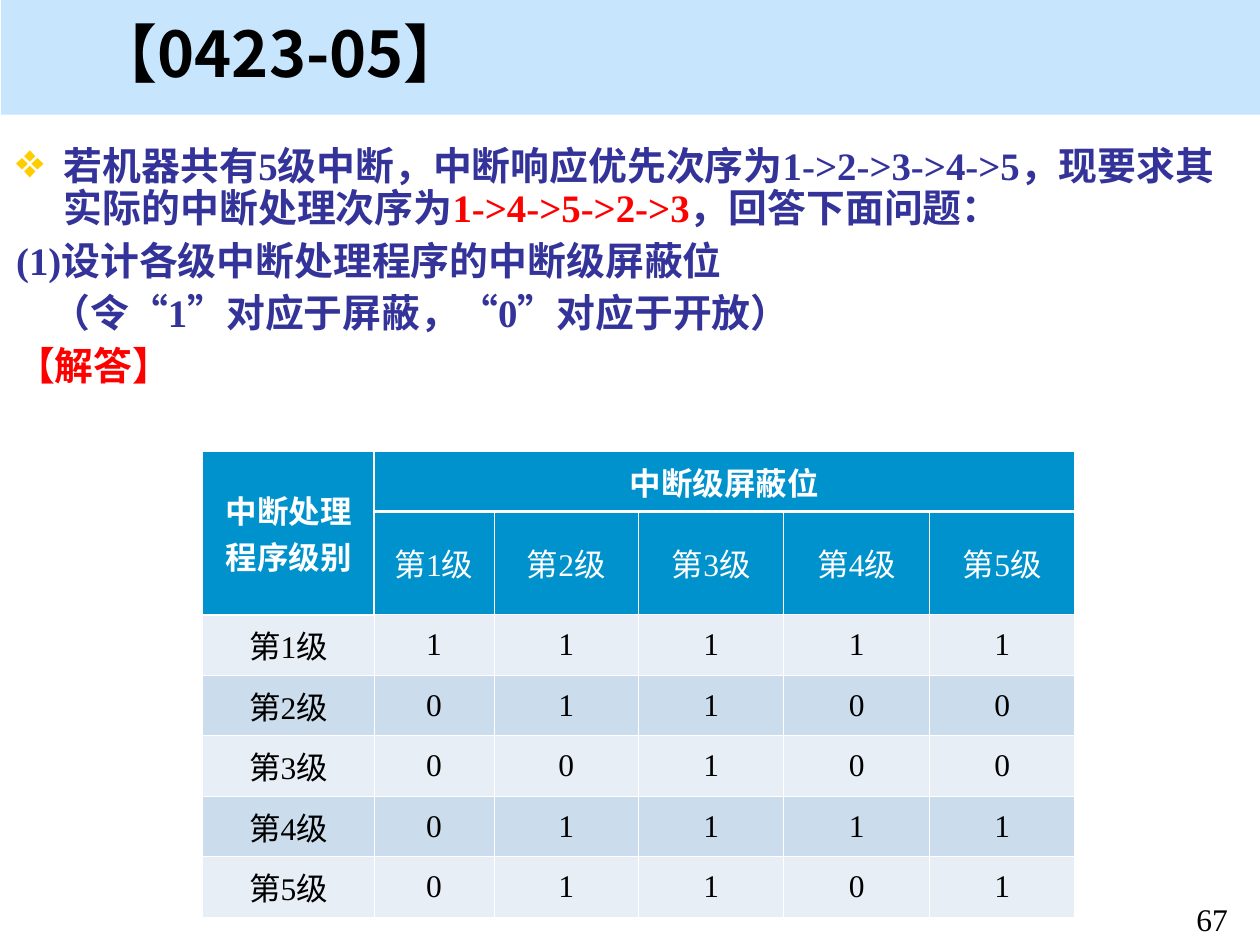
from lxml.etree import SubElement
from pptx import Presentation
from pptx.dml.color import RGBColor
from pptx.enum.shapes import MSO_SHAPE
from pptx.enum.text import MSO_ANCHOR, PP_ALIGN
from pptx.oxml.ns import qn
from pptx.util import Emu, Inches, Pt

BLACK = RGBColor(0x00, 0x00, 0x00)
WHITE = RGBColor(0xFF, 0xFF, 0xFF)
RED = RGBColor(0xFF, 0x00, 0x00)
NAVY = RGBColor(0x33, 0x33, 0x99)
GOLD = RGBColor(0xFF, 0xCC, 0x00)
SKY = RGBColor(0xC7, 0xE6, 0xFD)
BLUE = RGBColor(0x00, 0x92, 0xCC)
BANDS = [RGBColor(0xE7, 0xEE, 0xF6), RGBColor(0xCB, 0xDC, 0xEC)]

SERIF, CJK = "Times New Roman", "Noto Sans CJK SC"
COLS, ROWS = 100, 75
UNIT = Inches(10) // COLS
THIN, THICK = Pt(0.45), Pt(1.47)

BODY = [
    ([("若机器共有5级中断，中断响应优先次序为1->2->3->4->5，现要求其实际的中断处理次序为", NAVY),
      ("1->4->5->2->3", RED), ("，回答下面问题：", NAVY)], 3.8, -3.8, "❖"),
    ([("(1)设计各级中断处理程序的中断级屏蔽位", NAVY)], 3.8, -3.8, None),
    ([("（令“1”对应于屏蔽，“0”对应于开放）", NAVY)], 2.8, 0, None),
    ([("【解答】", RED)], 3.8, -3.8, None),
]
LEVELS = [f"第{n}级" for n in range(1, 6)]
MASKS = ["11111", "01100", "00100", "01111", "01101"]
COL_WIDTHS = [13.6, 9.5, 11.5, 11.5, 11.6, 11.5]
ROW_HEIGHTS = [4.8, 8.2] + [4.8] * 5


def grid(*cells):
    return [Emu(int(c * UNIT)) for c in cells]


def add_run(p, text, color, **fmt):
    r = p.add_run()
    r.text = text
    for key, value in fmt.items():
        setattr(r.font, key, value)
    r.font.color.rgb = color
    SubElement(r._r.get_or_add_rPr(), qn("a:ea")).set("typeface", CJK)


def add_bullet(p, char):
    pPr = p._p.get_or_add_pPr()
    if char is None:
        SubElement(pPr, qn("a:buNone"))
        return
    clr = SubElement(pPr, qn("a:buClr"))
    SubElement(clr, qn("a:srgbClr")).set("val", str(GOLD))
    SubElement(pPr, qn("a:buSzPct")).set("val", "125000")
    SubElement(pPr, qn("a:buChar")).set("char", char)


def add_header(s, box):
    sp = s.shapes.add_shape(MSO_SHAPE.RECTANGLE, *grid(*box))
    sp.shadow.inherit = False
    sp.fill.solid()
    sp.fill.fore_color.rgb = SKY
    sp.line.fill.background()
    s.shapes._spTree.insert(2, sp._element)

    left, top, width, height = box
    title = s.shapes.title
    title.left, title.top, title.width, title.height = grid(
        left + 6.4, top + 0.8, width - 14.1, height - 2.4)
    tf = title.text_frame
    tf.vertical_anchor = MSO_ANCHOR.MIDDLE
    p = tf.paragraphs[0]
    p.alignment = PP_ALIGN.LEFT
    add_run(p, "【0423-05】", BLACK, name=CJK, size=Pt(36), bold=True)


def add_question(s, box):
    tf = s.shapes.add_textbox(*grid(*box)).text_frame
    tf.word_wrap = True
    for i, (runs, margin, indent, bullet) in enumerate(BODY):
        p = tf.add_paragraph() if i else tf.paragraphs[0]
        pPr = p._p.get_or_add_pPr()
        for key, value in zip(("marL", "indent"), grid(margin, indent)):
            pPr.set(key, str(int(value)))
        add_bullet(p, bullet)
        p.line_spacing = 0.9
        p.space_before = Pt(6 if i else 0)
        for text, color in runs:
            add_run(p, text, color, name=SERIF, size=Pt(22.2), bold=True)


def set_borders(cell, row, col):
    def vertical(edge):
        return THICK if edge == 1 and row < 2 else THIN

    def horizontal(edge):
        return THICK if edge == (2 if col == 0 else 1) else THIN

    edges = {"L": vertical(col), "R": vertical(col + 1),
             "T": horizontal(row), "B": horizontal(row + 1)}
    tcPr = cell._tc.get_or_add_tcPr()
    for side, width in edges.items():
        ln = SubElement(tcPr, qn(f"a:ln{side}"), w=str(int(width)))
        fill = SubElement(ln, qn("a:solidFill"))
        SubElement(fill, qn("a:srgbClr")).set("val", str(WHITE))


def add_mask_table(s, box):
    data = [["中断处理程序级别", "中断级屏蔽位"] + [""] * 4, [""] + LEVELS]
    data += [[level, *mask] for level, mask in zip(LEVELS, MASKS)]
    table = s.shapes.add_table(len(data), len(data[0]), *grid(*box)).table
    for column, width in zip(table.columns, grid(*COL_WIDTHS)):
        column.width = width
    for line, height in zip(table.rows, grid(*ROW_HEIGHTS)):
        line.height = height
    for row, values in enumerate(data):
        header = row < 2
        for col, text in enumerate(values):
            cell = table.cell(row, col)
            set_borders(cell, row, col)
            cell.fill.solid()
            cell.fill.fore_color.rgb = BLUE if header else BANDS[row % 2]
            cell.vertical_anchor = MSO_ANCHOR.MIDDLE
            p = cell.text_frame.paragraphs[0]
            p.alignment = PP_ALIGN.CENTER
            if text:
                add_run(p, text, WHITE if header else BLACK, name=SERIF,
                        size=Pt(18), bold=row == 0)
    table.cell(0, 0).merge(table.cell(1, 0))
    table.cell(0, 1).merge(table.cell(0, 5))


def add_page_number(s, box):
    tf = s.shapes.add_textbox(*grid(*box)).text_frame
    tf.word_wrap = True
    p = tf.paragraphs[0]
    p.alignment = PP_ALIGN.CENTER
    add_run(p, "67", BLACK, name=SERIF, size=Pt(18))


def main():
    prs = Presentation()
    prs.slide_width, prs.slide_height = grid(COLS, ROWS)
    s = prs.slides.add_slide(prs.slide_layouts[5])
    add_header(s, (0.1, 0, 99.9, 9.1))
    add_question(s, (0.3, 11.2, 99.3, 23.1))
    add_mask_table(s, (16.1, 35.8, sum(COL_WIDTHS), sum(ROW_HEIGHTS)))
    add_page_number(s, (92.7, 70.9, 7, 3.3))
    prs.save("out.pptx")


if __name__ == "__main__":
    main()
